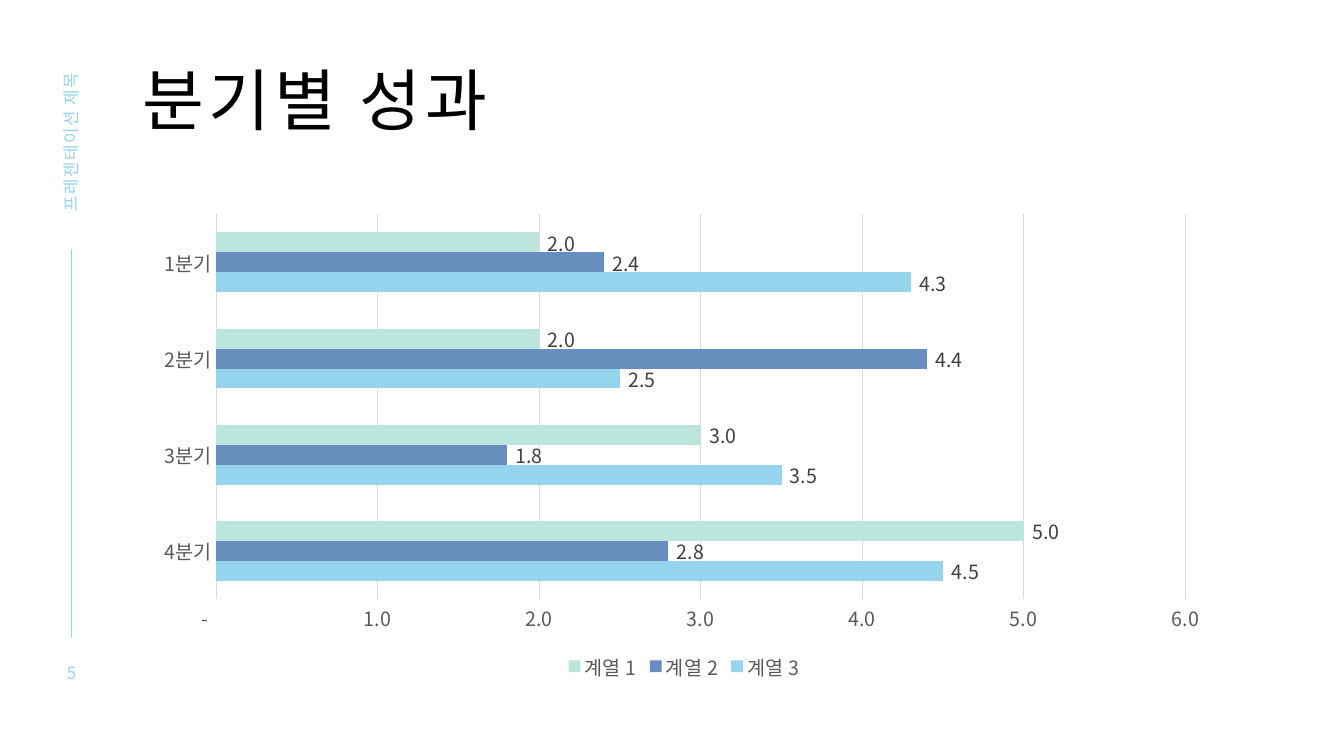
from dataclasses import dataclass

from pptx import Presentation
from pptx.chart.data import CategoryChartData
from pptx.dml.color import RGBColor
from pptx.enum.chart import (XL_CHART_TYPE, XL_LABEL_POSITION,
                             XL_LEGEND_POSITION, XL_TICK_MARK)
from pptx.enum.shapes import MSO_CONNECTOR
from pptx.enum.text import MSO_ANCHOR, MSO_AUTO_SIZE, PP_ALIGN
from pptx.oxml.ns import qn
from pptx.util import Cm, Pt
from lxml import etree

BAR = XL_CHART_TYPE.BAR_CLUSTERED
OUTSIDE = XL_LABEL_POSITION.OUTSIDE_END
BOTTOM = XL_LEGEND_POSITION.BOTTOM
NO_TICK = XL_TICK_MARK.NONE
STRAIGHT = MSO_CONNECTOR.STRAIGHT
TOP, MIDDLE = MSO_ANCHOR.TOP, MSO_ANCHOR.MIDDLE
LEFT, CENTER, RIGHT = PP_ALIGN.LEFT, PP_ALIGN.CENTER, PP_ALIGN.RIGHT


@dataclass
class Theme:
    font: str = "Noto Sans CJK KR"
    black: str = "000000"
    sky: str = "96D3ED"
    blue: str = "688EBD"
    mint: str = "BCE5DD"
    grid: str = "D9D9D9"
    axis: str = "595959"
    label: str = "404040"
    title: int = 48
    small: int = 12
    chart: int = 14


theme = Theme()


def style(font, size, color):
    font.name = theme.font
    font.size = Pt(size)
    font.bold = False
    font.color.rgb = RGBColor.from_string(color)


def write(text, shape, box, size, color, align=LEFT, anchor=MIDDLE, track=0, lead=1.0):
    shape.left, shape.top, shape.width, shape.height = [Cm(n) for n in box]
    frame = shape.text_frame
    frame.word_wrap = True
    frame.auto_size = MSO_AUTO_SIZE.NONE
    frame.vertical_anchor = anchor
    frame.margin_left = frame.margin_right = frame.margin_top = frame.margin_bottom = 0
    para = frame.paragraphs[0]
    para.alignment = align
    para.line_spacing = lead
    run = para.add_run()
    run.text = text
    style(run.font, size, color)
    props = run._r.get_or_add_rPr()
    props.set("spc", str(track * 100))
    etree.SubElement(props, qn("a:ea")).set("typeface", theme.font)


deck = Presentation()
deck.slide_width, deck.slide_height = Cm(33.87), Cm(19.05)
slide = deck.slides.add_slide(deck.slide_layouts[5])
shapes = slide.shapes

# Side rule
rule = shapes.add_connector(STRAIGHT, Cm(1.8), Cm(6.27), Cm(1.8), Cm(16.08))
rule.line.color.rgb = RGBColor.from_string(theme.sky)
rule.line.width = Pt(1)
etree.SubElement(rule._element.spPr, qn("a:effectLst"))

# Title, side caption and page number
write("분기별 성과", shapes.title, (3.6, 1.7, 27.94, 2.54), theme.title, theme.black,
      anchor=TOP, track=3, lead=0.9)
side = shapes.add_textbox(0, 0, 0, 0)
write("프레젠테이션 제목", side, (-0.69, 4.04, 4.95, 0.53), theme.small, theme.sky,
      align=RIGHT, track=1)
side.rotation = 270
page = shapes.add_textbox(0, 0, 0, 0)
write("5", page, (1.17, 16.71, 1.27, 0.51), theme.small, theme.sky,
      align=CENTER, track=2)

# Chart data
mask = '_(* #,##0.0_);_(* \\(#,##0.0\\);_(* "-"??_);_(@_)'
rows = [
    ("계열 3", (4.5, 3.5, 2.5, 4.3), theme.sky),
    ("계열 2", (2.8, 1.8, 4.4, 2.4), theme.blue),
    ("계열 1", (5, 3, 2, 2), theme.mint),
]
data = CategoryChartData(number_format=mask)
data.categories = ["4분기", "3분기", "2분기", "1분기"]
for name, values, color in rows:
    data.add_series(name, values)

# Chart
chart = shapes.add_chart(BAR, Cm(3.6), Cm(5.16), Cm(27.28), Cm(12.09), data).chart
style(chart.font, theme.chart, theme.black)
chart.has_title = False
plot = chart.plots[0]
plot.gap_width = 182
plot.overlap = 0
plot.vary_by_categories = False
for series, (name, values, color) in zip(plot.series, rows):
    series.format.fill.solid()
    series.format.fill.fore_color.rgb = RGBColor.from_string(color)
    labels = series.data_labels
    labels.show_value = True
    labels.position = OUTSIDE
    labels.number_format = mask
    labels.number_format_is_linked = False
    style(labels.font, theme.chart, theme.label)

# Axes and legend
cats, vals = chart.category_axis, chart.value_axis
for axis in (cats, vals):
    axis.major_tick_mark = axis.minor_tick_mark = NO_TICK
    style(axis.tick_labels.font, theme.chart, theme.axis)
vals.minimum_scale, vals.maximum_scale, vals.major_unit = 0, 6, 1
vals.tick_labels.number_format = mask
vals.tick_labels.number_format_is_linked = False
vals.format.line.fill.background()
vals.has_major_gridlines = True
for line in (cats.format.line, vals.major_gridlines.format.line):
    line.color.rgb = RGBColor.from_string(theme.grid)
    line.width = Pt(0.75)
chart.has_legend = True
chart.legend.position = BOTTOM
chart.legend.include_in_layout = False
style(chart.legend.font, theme.chart, theme.axis)

# Korean typeface for all chart text
for latin in list(chart._chartSpace.iter(qn("a:latin"))):
    asian = etree.Element(qn("a:ea"))
    asian.set("typeface", theme.font)
    latin.addnext(asian)

deck.save("out.pptx")
